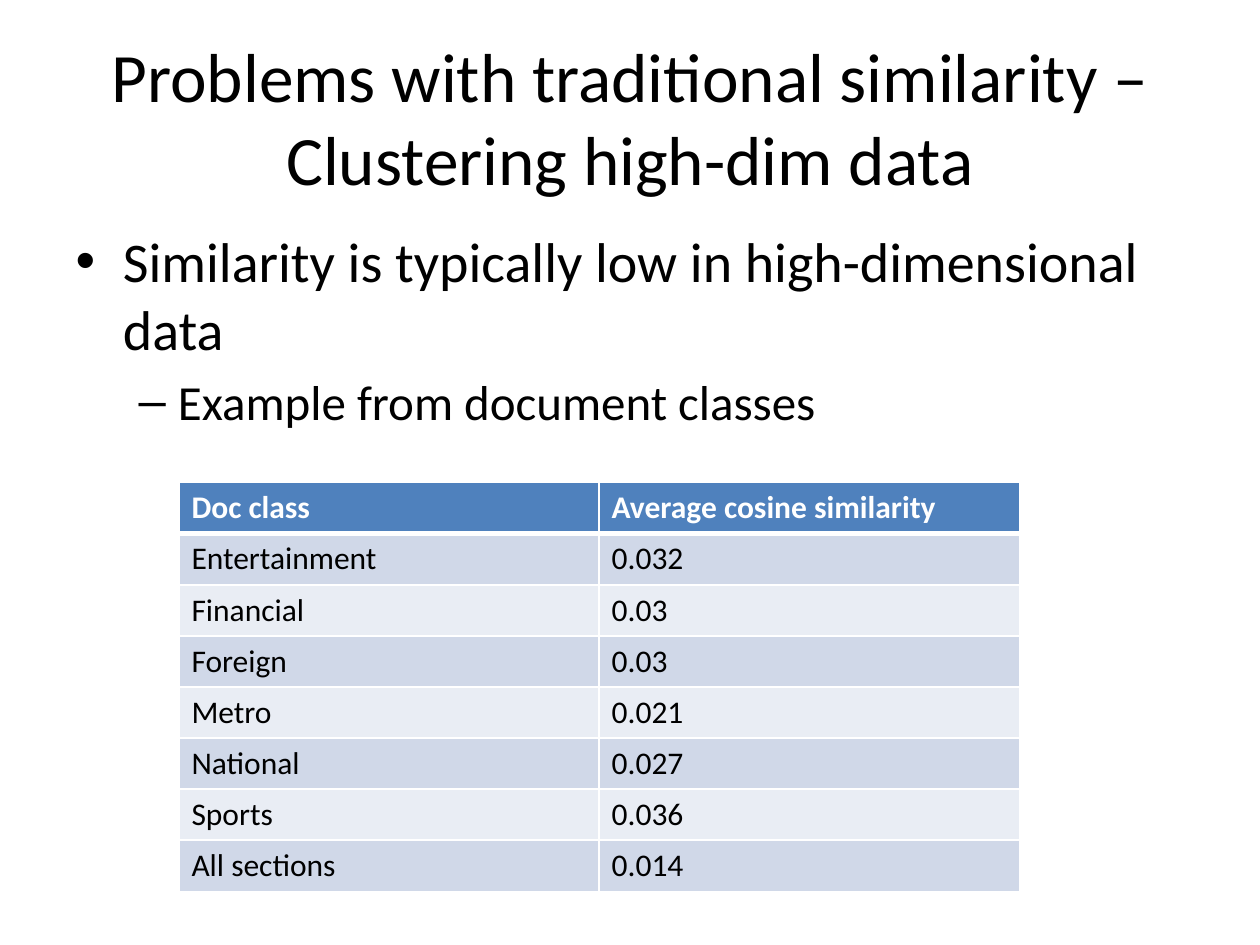
from lxml import etree
from pptx import Presentation
from pptx.dml.color import RGBColor
from pptx.enum.text import MSO_ANCHOR, MSO_AUTO_SIZE, PP_ALIGN
from pptx.oxml.ns import qn
from pptx.util import Inches, Pt

MIDDLE = MSO_ANCHOR.MIDDLE
NO_AUTOFIT = MSO_AUTO_SIZE.NONE
CENTER = PP_ALIGN.CENTER

FONT = "Calibri"
COLORS = {
    "text": "000000",
    "header_text": "FFFFFF",
    "header": "4F81BD",
    "odd_row": "D0D8E8",
    "even_row": "E9EDF4",
    "border": "FFFFFF",
}
BULLETS = [
    ("Similarity is typically low in high-dimensional data", 0, 32),
    ("Example from document classes", 1, 28),
]
SIMILARITIES = [
    ("Doc class", "Average cosine similarity"),
    ("Entertainment", "0.032"),
    ("Financial", "0.03"),
    ("Foreign", "0.03"),
    ("Metro", "0.021"),
    ("National", "0.027"),
    ("Sports", "0.036"),
    ("All sections", "0.014"),
]


def place(shape, box):
    shape.left, shape.top, shape.width, shape.height = map(Inches, box)


def format_runs(paragraph, size, color="text", bold=False):
    for run in paragraph.runs:
        run.font.name = FONT
        run.font.size = Pt(size)
        run.font.bold = bold
        run.font.color.rgb = RGBColor.from_string(COLORS[color])


def add_title(slide, box):
    title = slide.shapes.title
    place(title, box)
    text_frame = title.text_frame
    text_frame.auto_size = NO_AUTOFIT
    text_frame.vertical_anchor = MIDDLE
    paragraph = text_frame.paragraphs[0]
    paragraph.text = "Problems with traditional similarity –\nClustering high-dim data"
    paragraph.alignment = CENTER
    format_runs(paragraph, 39.6)


def add_bullets(slide, box):
    body = slide.placeholders[1]
    place(body, box)
    text_frame = body.text_frame
    text_frame.auto_size = NO_AUTOFIT
    text_frame.text = "\n".join(text for text, _, _ in BULLETS)
    for paragraph, (_, level, size) in zip(text_frame.paragraphs, BULLETS):
        paragraph.level = level
        format_runs(paragraph, size)


def set_borders(cell, widths):
    """Draw cell borders; widths maps a:ln tags to points, in schema order."""
    properties = cell._tc.get_or_add_tcPr()
    for tag, width in widths.items():
        line = etree.SubElement(properties, qn(tag), w=str(Pt(width)))
        fill = etree.SubElement(line, qn("a:solidFill"))
        etree.SubElement(fill, qn("a:srgbClr"), val=COLORS["border"])


def add_similarity_table(slide, box):
    row_count, column_count = len(SIMILARITIES), len(SIMILARITIES[0])
    frame = slide.shapes.add_table(row_count, column_count, *map(Inches, box))
    for row_index, values in enumerate(SIMILARITIES):
        header = row_index == 0
        if header:
            fill = "header"
        else:
            fill = "odd_row" if row_index % 2 else "even_row"
        widths = {
            "a:lnL": 1,
            "a:lnR": 1,
            "a:lnT": 3 if row_index == 1 else 1,
            "a:lnB": 3 if header else 1,
        }
        for column_index, value in enumerate(values):
            cell = frame.table.cell(row_index, column_index)
            set_borders(cell, widths)
            cell.fill.solid()
            cell.fill.fore_color.rgb = RGBColor.from_string(COLORS[fill])
            cell.text_frame.text = value
            format_runs(cell.text_frame.paragraphs[0], 18,
                        "header_text" if header else "text", header)


def main():
    presentation = Presentation()
    presentation.slide_width, presentation.slide_height = Inches(10), Inches(7.5)
    slide = presentation.slides.add_slide(presentation.slide_layouts[1])
    add_title(slide, (0.5, 0.3, 9, 1.25))
    add_bullets(slide, (0.5, 1.75, 9, 4.95))
    add_similarity_table(slide, (1.42, 3.83, 6.67, 3.24))
    presentation.save("out.pptx")


if __name__ == "__main__":
    main()
